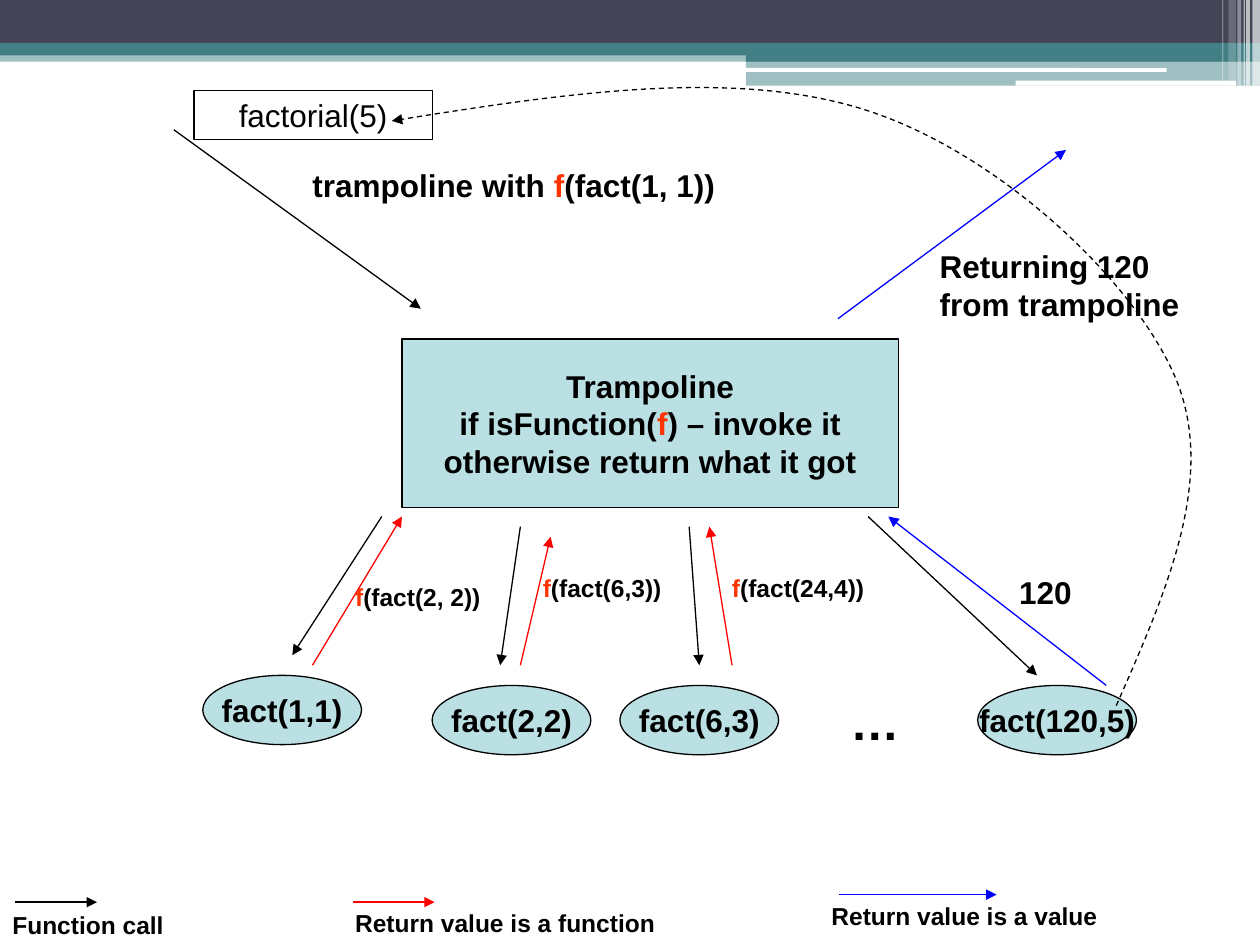
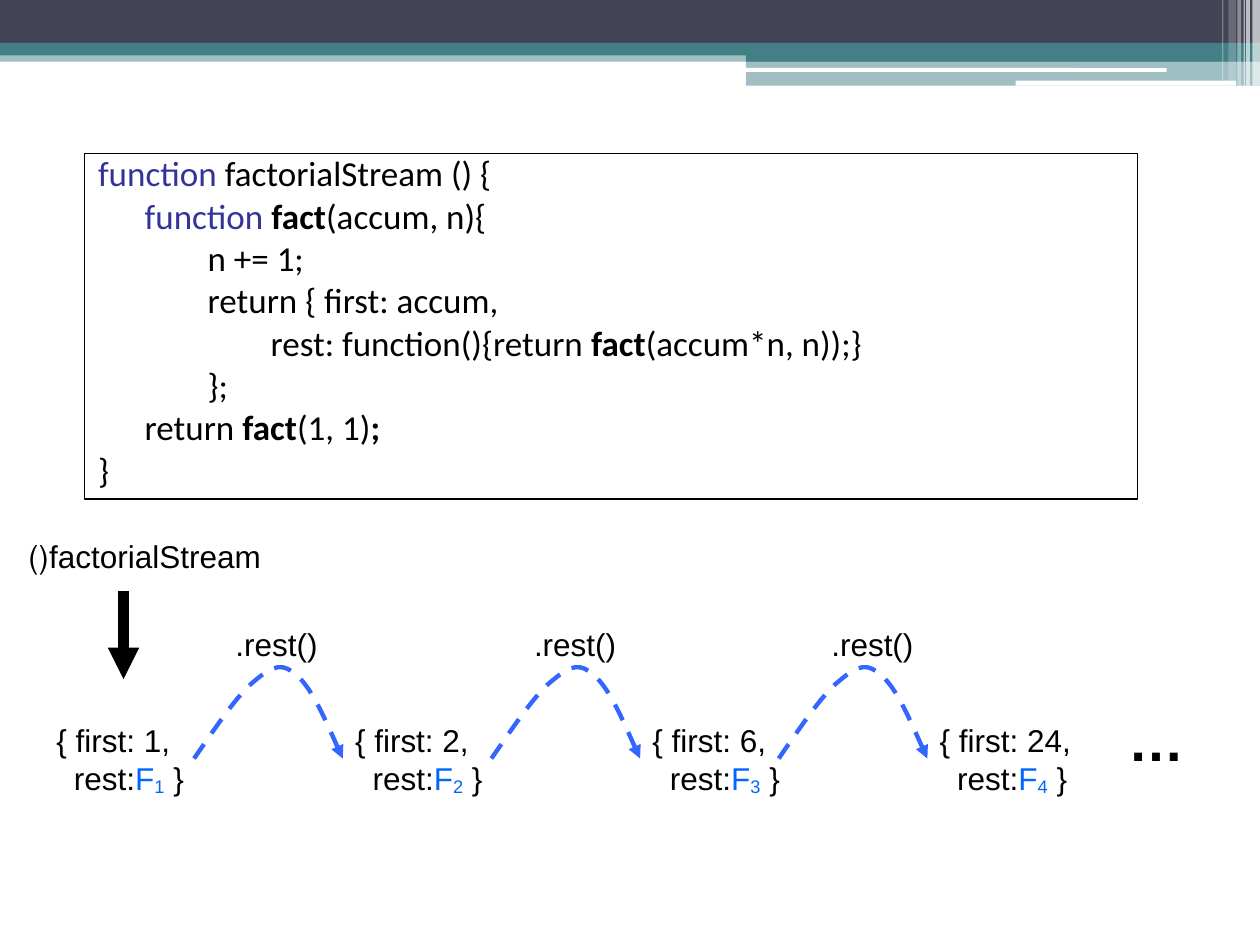
from lxml.etree import SubElement as Sub
from pptx import Presentation
from pptx.dml.color import RGBColor as RGB
from pptx.enum.dml import MSO_LINE_DASH_STYLE as Dash
from pptx.enum.shapes import MSO_CONNECTOR as Conn, MSO_SHAPE as Kind
from pptx.enum.text import MSO_ANCHOR as Anchor, PP_ALIGN as Align
from pptx.oxml.ns import qn
from pptx.util import Inches, Pt

HEX = {
    "black": "000000", "white": "FFFFFF", "navy": "424456", "teal": "438086",
    "pale": "BBE0E3", "red": "FF0000", "blue": "0000FF", "coral": "FF3300",
    "word": "333399", "arc": "3366FF", "link": "0066FF",
}
C = {name: RGB.from_string(code) for name, code in HEX.items()}


def write(shape, lines, size=18, bold=False, face="Arial", align=Align.LEFT,
          anchor=Anchor.TOP, wrap=True, left=0.1, right=0.1, tabs=()):
    """Fill a shape; a line is a list of strings and (string, style) pairs."""
    frame = shape.text_frame
    frame.word_wrap, frame.vertical_anchor = wrap, anchor
    frame.margin_left, frame.margin_right = Inches(left), Inches(right)
    for i, line in enumerate(lines):
        para = frame.paragraphs[0] if i == 0 else frame.add_paragraph()
        para.alignment = align
        if tabs:
            stops = Sub(para._p.get_or_add_pPr(), qn("a:tabLst"))
            for stop in tabs:
                Sub(stops, qn("a:tab"), pos=str(Inches(stop)), algn="l")
        font = para.font
        font.name, font.size, font.bold = face, Pt(size), bold
        font.color.rgb = C["black"]
        for part in line:
            text, style = (part, "") if isinstance(part, str) else part
            run = para.add_run()
            run.text = text
            if style == "bold":
                run.font.bold = True
            elif style:
                run.font.color.rgb = C[style.removesuffix(" sub")]
            if style.endswith(" sub"):
                run._r.get_or_add_rPr().set("baseline", "-12000")


def stroke(shape, color="black", width=0.75, head=True, dash=False):
    """Draw the outline, with an arrowhead if wanted, and no shadow."""
    line = shape.line
    line.color.rgb, line.width = C[color], Pt(width)
    if dash:
        line.dash_style = Dash.DASH
    props = shape.element.spPr
    if head:
        Sub(props.find(qn("a:ln")), qn("a:tailEnd"), type="triangle")
    Sub(props, qn("a:effectLst"))


deck = Presentation()
deck.slide_width, deck.slide_height = Inches(10), Inches(7.5)
base = deck.slide_layouts[6]
calls = deck.slides.add_slide(base)
stream = deck.slides.add_slide(base)

# Bands shared by both slides: place, colour, opacity; kept on the layout
bands = [
    (0, 0.4, 10, 0.09, "teal", 50),
    (0, 0, 10, 0.34, "navy", 100),
    (0, 0.34, 10, 0.1, "teal", 100),
    (5.92, 0.39, 4.08, 0.1, "teal", 100),
    (5.92, 0.48, 4.08, 0.2, "teal", 50),
    (5.91, 0.54, 3.35, 0.03, "white", 100),
    (8.06, 0.64, 1.75, 0.04, "white", 100),
    (9.94, 0, 0.06, 0.68, "white", 65),
    (9.89, 0, 0.03, 0.68, "white", 65),
    (9.87, 0, 0.01, 0.68, "white", 60),
    (9.82, 0, 0.03, 0.68, "white", 40),
    (9.75, 0, 0.06, 0.64, "white", 20),
    (9.7, 0, 0.01, 0.64, "white", 30),
]
for *place, color, alpha in bands:
    kind = Kind.ROUNDED_RECTANGLE if place[0] in (5.91, 8.06) else Kind.RECTANGLE
    band = calls.shapes.add_shape(kind, *map(Inches, place))
    band.shadow.inherit = False
    band.fill.solid()
    band.fill.fore_color.rgb = C[color]
    band.line.fill.background()
    if alpha < 100:
        tint = band.element.spPr.find(".//" + qn("a:srgbClr"))
        Sub(tint, qn("a:alpha"), val=str(alpha * 1000))
    base.shapes.element.append(band.element)

# Slide 1: the trampoline, its calls and the caller
nodes = [
    (Kind.RECTANGLE, 3.19, 2.69, 3.94, 1.34, True, [
        ["Trampoline"],
        ["if isFunction(", ("f", "coral"), ") – invoke it"],
        ["otherwise return what it got"]]),
    (Kind.RECTANGLE, 1.54, 0.72, 1.89, 0.39, False, [["factorial(5)"]]),
]
ovals = [(1.61, 5.36, "1,1"), (3.43, 5.44, "2,2"),
         (4.92, 5.44, "6,3"), (7.76, 5.44, "120,5")]
for x, y, args in ovals:
    nodes.append((Kind.OVAL, x, y, 1.26, 0.55, True, [[f"fact({args})"]]))
for kind, x, y, w, h, main, lines in nodes:
    node = calls.shapes.add_shape(kind, *map(Inches, (x, y, w, h)))
    if main:
        node.fill.solid()
        node.fill.fore_color.rgb = C["pale"]
    else:
        node.fill.background()
    stroke(node, head=False)
    write(node, lines, bold=main, align=Align.CENTER, anchor=Anchor.MIDDLE,
          wrap=False)

# Arrows: black calls, red returns a function, blue returns a value
arrows = [
    ("black", 1.38, 1.03, 3.34, 2.45),
    ("black", 3.03, 4.1, 2.32, 5.2),
    ("black", 4.13, 4.18, 3.97, 5.28),
    ("black", 5.47, 4.18, 5.55, 5.28),
    ("black", 6.89, 4.1, 8.23, 5.36),
    ("red", 2.48, 5.28, 3.19, 4.1),
    ("red", 4.13, 5.28, 4.37, 4.26),
    ("red", 5.81, 5.28, 5.63, 4.18),
    ("blue", 8.78, 5.44, 7.05, 4.1),
    ("blue", 6.65, 2.53, 8.46, 1.19),
    # Legend
    ("black", 0.12, 7.16, 0.77, 7.16),
    ("red", 2.8, 7.16, 3.45, 7.16),
    ("blue", 6.66, 7.1, 7.91, 7.1),
]
for color, *ends in arrows:
    stroke(calls.shapes.add_connector(Conn.STRAIGHT, *map(Inches, ends)), color)

# Labels: place, size, left inset, text
f = ("f", "coral")
labels = [
    (2.48, 1.27, 3.86, 0.4, 18, 0, ["trampoline with ", f, "(fact(1, 1))"]),
    (7.36, 1.91, 2.13, 0.7, 18, 0.1, ["Returning 120 from trampoline"]),
    (2.72, 4.57, 1.3, 0.34, 14, 0.1, [f, "(fact(2, 2))"]),
    (4.21, 4.5, 1.3, 0.34, 14, 0.1, [f, "(fact(6,3))"]),
    (5.81, 4.5, 1.3, 0.34, 14, 0, [f, "(fact(24,4))"]),
    (7.99, 4.5, 1.18, 0.4, 18, 0.1, ["120"]),
    (6.65, 5.44, 1.02, 0.57, 28, 0.1, ["…"]),
    (0, 7.17, 2.7, 0.34, 14, 0.1, ["Function call"]),
    (2.72, 7.16, 3.31, 0.34, 14, 0.1, ["Return value is a function"]),
    (6.5, 7.1, 3.31, 0.34, 14, 0.1, ["Return value is a value"]),
]
for *place, size, left, line in labels:
    label = calls.shapes.add_textbox(*map(Inches, place))
    write(label, [line], size, bold=True, left=left)

# Slide 2: the code
code = [
    [("function", "word"), " factorialStream () {"],
    ["\t", ("function ", "word"), ("fact", "bold"), "(accum, n){"],
    ["\t\tn += 1;"],
    ["\t\treturn { first: accum,"],
    ["\t\t\trest: function(){return ", ("fact", "bold"), "(accum*n, n));}"],
    ["\t\t};"],
    ["\treturn ", ("fact", "bold"), "(1, 1)", (";", "bold")],
    ["}"],
]
box = stream.shapes.add_textbox(*map(Inches, (0.67, 1.22, 8.36, 2.74)))
stroke(box, head=False)
write(box, code, 20, face="Calibri", tabs=range(4))
for i, para in enumerate(box.text_frame.paragraphs):
    para.line_spacing, para.space_before = 0.8, Pt(5 if i else 0)
    props = para._p.get_or_add_pPr()
    props.set("marL", str(Inches(0.38)))
    props.set("indent", str(Inches(-0.37)))

# First call, set right to left, and the arrow below it
start = stream.shapes.add_textbox(*map(Inches, (0.12, 4.21, 2.05, 0.4)))
write(start, [["factorialStream()"]], align=Align.RIGHT, wrap=False)
start.text_frame.paragraphs[0]._p.get_or_add_pPr().set("rtl", "1")
ends = map(Inches, (0.98, 4.69, 0.98, 5.39))
stroke(stream.shapes.add_connector(Conn.STRAIGHT, *ends), width=6)

# Stream states, with a rest() step between neighbours
states = [(0.35, 1), (2.72, 2), (5.08, 6), (7.36, 24)]
for i, (x, first) in enumerate(states, 1):
    state = stream.shapes.add_textbox(*map(Inches, (x, 5.63, 1.3, 0.79)))
    write(state, [[f"{{ first: {first},"],
                  ["  rest:", ("F", "link"), (str(i), "link sub"), " }"]],
          anchor=Anchor.MIDDLE, right=0.04)
    if i < len(states):
        step = stream.shapes.add_textbox(*map(Inches, (x + 1.42, 4.91, 0.9, 0.4)))
        write(step, [[".rest()"]])
more = stream.shapes.add_textbox(*map(Inches, (8.78, 5.63, 0.79, 0.47)))
write(more, [["…"]], 32, bold=True, align=Align.CENTER, anchor=Anchor.MIDDLE,
      wrap=False)

# Dashed curves: a start point, then three points for each Bézier piece
hop = [(0, 6.02), (0.16, 5.79), (0.32, 5.55), (0.45, 5.43), (0.58, 5.32),
       (0.67, 5.24), (0.79, 5.34), (0.92, 5.43), (1.05, 5.73), (1.18, 6.02)]
back = [(8.86, 5.6), (9.26, 4.69), (9.66, 3.79), (9.33, 3), (9, 2.22),
        (7.93, 1.22), (6.89, 0.88), (5.85, 0.54), (4.48, 0.74), (3.11, 0.96)]
curves = [(calls, back, "black", 0.75)]
for x, first in states[1:]:
    curves.append((stream, [(x - 1.18 + dx, y) for dx, y in hop], "arc", 2.5))
for slide, points, color, width in curves:
    points = [(Inches(x), Inches(y)) for x, y in points]
    pen = slide.shapes.build_freeform(*points[0])
    pen.add_line_segments(points[1:], close=False)
    curve = pen.convert_to_shape()
    track = curve.element.find(".//" + qn("a:path"))
    legs = track.findall(qn("a:lnTo"))
    for i in range(0, len(legs), 3):
        bend = Sub(track, qn("a:cubicBezTo"))
        for leg in legs[i:i + 3]:
            bend.append(leg[0])
            track.remove(leg)
    curve.fill.background()
    stroke(curve, color, width, dash=True)

deck.save("out.pptx")
